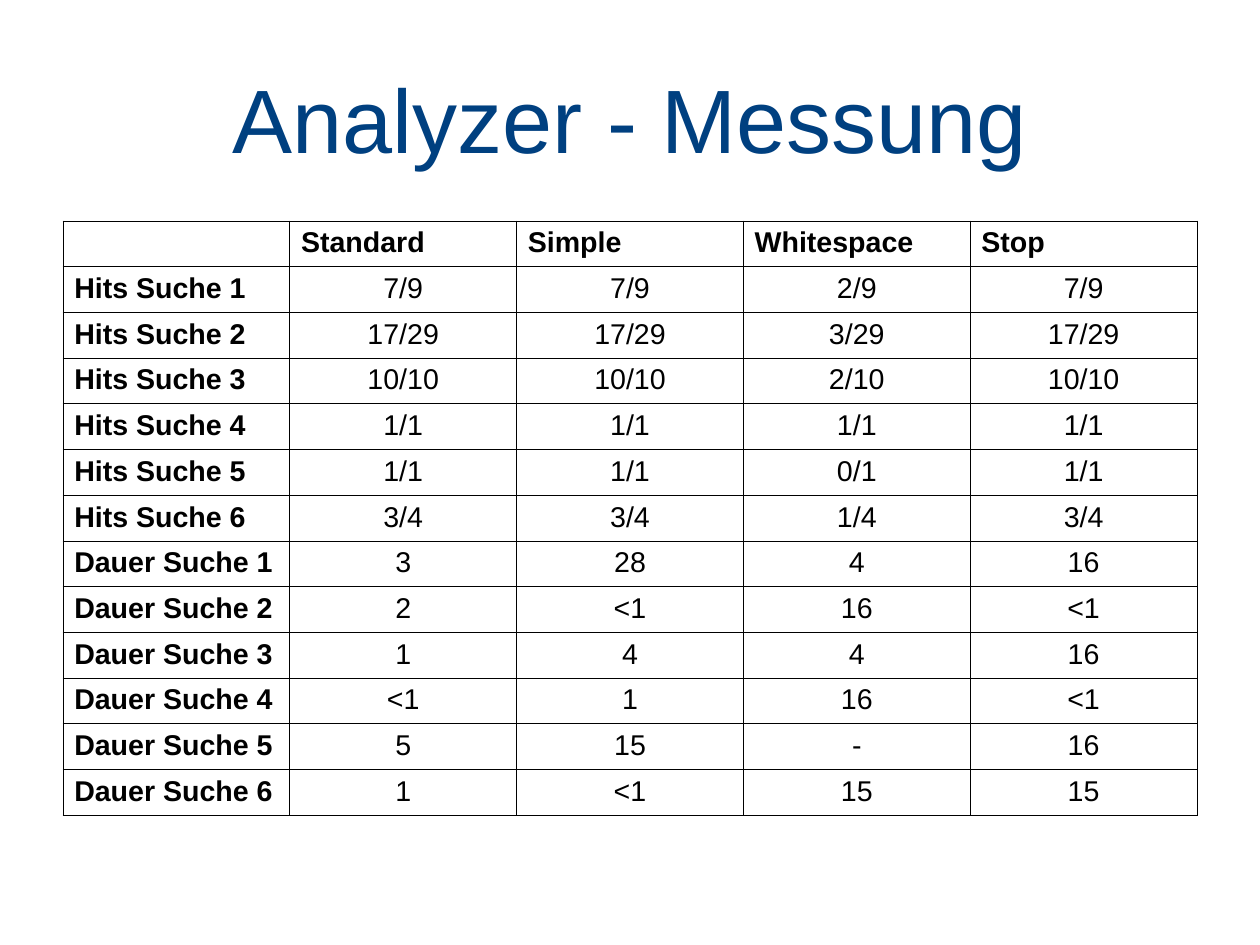
"""Build the slide with the analyzer measurement table."""
from lxml import etree
from pptx import Presentation
from pptx.dml.color import RGBColor
from pptx.enum.text import MSO_ANCHOR, MSO_AUTO_SIZE, PP_ALIGN
from pptx.oxml.ns import qn
from pptx.util import Cm, Pt

CENTER, LEFT = PP_ALIGN.CENTER, PP_ALIGN.LEFT
MIDDLE, TOP = MSO_ANCHOR.MIDDLE, MSO_ANCHOR.TOP
NO_AUTOFIT = MSO_AUTO_SIZE.NONE

FONT = "Arial"
BLUE, BLACK = "004080", "000000"
TABLE_WIDTH, TABLE_HEIGHT = 25.2, 13.22
BORDER_SIDES = ("a:lnL", "a:lnR", "a:lnT", "a:lnB")
TITLE_FORMAT = {"size": Pt(56.7), "name": FONT, "bold": False}
LABEL_FORMAT = {"size": Pt(18), "name": FONT, "bold": True}
VALUE_FORMAT = {"size": Pt(18), "name": FONT, "bold": False}
TITLE_FRAME = {"margin_left": 0, "margin_right": 0, "margin_top": 0,
               "margin_bottom": 0, "vertical_anchor": MIDDLE,
               "word_wrap": True, "auto_size": NO_AUTOFIT}
CELL_FRAME = {"margin_left": Cm(0.25), "margin_right": Cm(0.25),
              "margin_top": Cm(0.13), "margin_bottom": Cm(0.13),
              "vertical_anchor": TOP}

ROWS = [
    ("", "Standard", "Simple", "Whitespace", "Stop"),
    ("Hits Suche 1", "7/9", "7/9", "2/9", "7/9"),
    ("Hits Suche 2", "17/29", "17/29", "3/29", "17/29"),
    ("Hits Suche 3", "10/10", "10/10", "2/10", "10/10"),
    ("Hits Suche 4", "1/1", "1/1", "1/1", "1/1"),
    ("Hits Suche 5", "1/1", "1/1", "0/1", "1/1"),
    ("Hits Suche 6", "3/4", "3/4", "1/4", "3/4"),
    ("Dauer Suche 1", "3", "28", "4", "16"),
    ("Dauer Suche 2", "2", "<1", "16", "<1"),
    ("Dauer Suche 3", "1", "4", "4", "16"),
    ("Dauer Suche 4", "<1", "1", "16", "<1"),
    ("Dauer Suche 5", "5", "15", "-", "16"),
    ("Dauer Suche 6", "1", "<1", "15", "15"),
]


def rgb(color):
    """Turn a hex string into a colour."""
    return RGBColor.from_string(color)


def apply_format(target, values):
    """Set every attribute in values on target."""
    for name, value in values.items():
        setattr(target, name, value)


def write_text(tf, text, font_format, color, align):
    """Write one formatted paragraph into a text frame."""
    p = tf.paragraphs[0]
    p.alignment = align
    apply_format(p.font, font_format)
    if text:
        r = p.add_run()
        r.text = text
        apply_format(r.font, font_format)
        r.font.color.rgb = rgb(color)


def add_borders(cell, color, width):
    """Draw a solid line on all four sides of a cell."""
    tc_pr = cell._tc.get_or_add_tcPr()
    for side in BORDER_SIDES:
        ln = etree.SubElement(tc_pr, qn(side), w=str(width))
        fill = etree.SubElement(ln, qn("a:solidFill"))
        etree.SubElement(fill, qn("a:srgbClr"), val=color)


def add_title(s, text):
    """Place and format the title placeholder."""
    sp = s.shapes.title
    apply_format(sp, {"left": Cm(2.1), "top": Cm(0.35),
                      "width": Cm(23.8), "height": Cm(4.5)})
    apply_format(sp.text_frame, TITLE_FRAME)
    write_text(sp.text_frame, text, TITLE_FORMAT, BLUE, CENTER)


def add_measurements(s, rows):
    """Add the table with bold labels and centred values."""
    frame = s.shapes.add_table(len(rows), len(rows[0]), Cm(1.4), Cm(4.91),
                               Cm(TABLE_WIDTH), Cm(TABLE_HEIGHT))
    table = frame.table
    apply_format(table, {"first_row": False, "horz_banding": False})
    for i, row in enumerate(rows):
        for j, text in enumerate(row):
            cell = table.cell(i, j)
            is_label = i == 0 or j == 0
            apply_format(cell, CELL_FRAME)
            write_text(cell.text_frame, text,
                       LABEL_FORMAT if is_label else VALUE_FORMAT,
                       BLACK, LEFT if is_label else CENTER)
            add_borders(cell, BLACK, Pt(0.57))
            cell.fill.background()


def main():
    """Create and save the presentation."""
    prs = Presentation()
    prs.slide_width, prs.slide_height = Cm(28), Cm(21)
    s = prs.slides.add_slide(prs.slide_layouts[5])
    add_title(s, "Analyzer - Messung")
    add_measurements(s, ROWS)
    prs.save("out.pptx")


if __name__ == "__main__":
    main()
